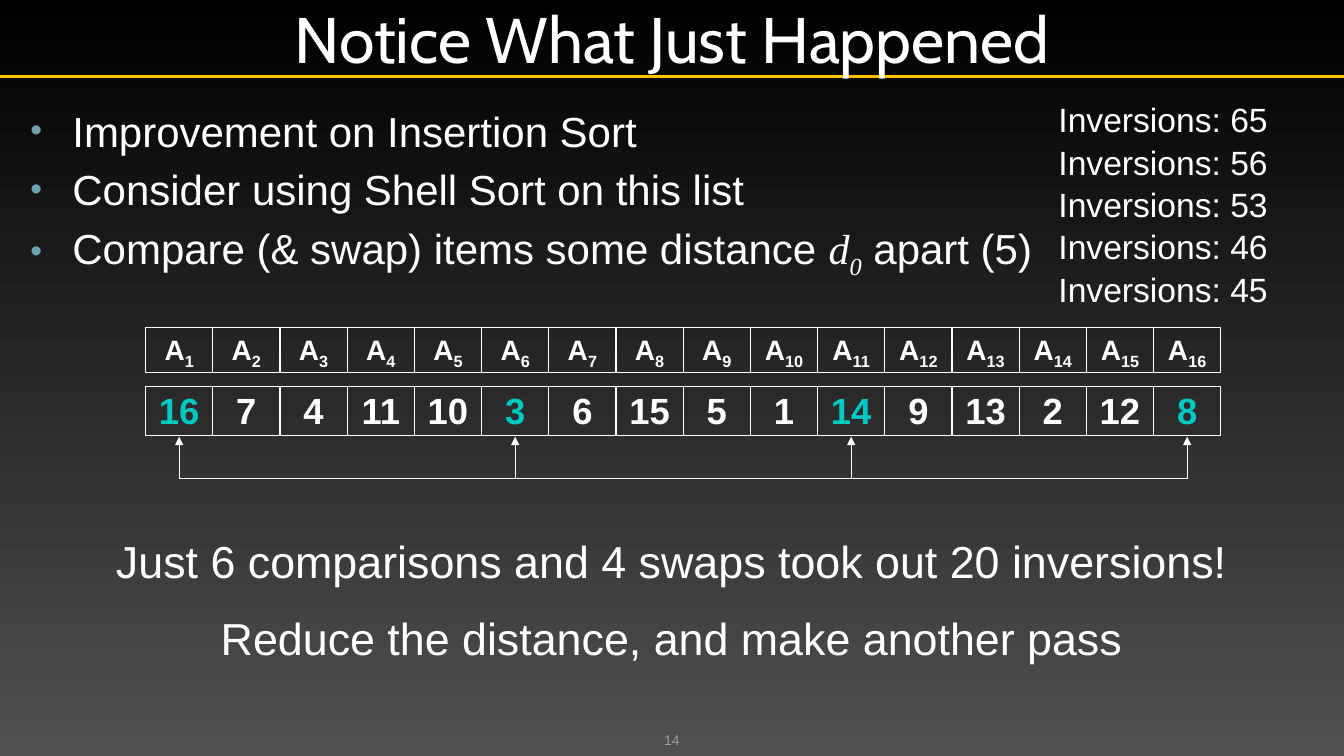
import pptx
import pptx.dml.color
import pptx.enum.shapes
import pptx.enum.text
import pptx.oxml
import pptx.oxml.ns
import pptx.util

Pt = pptx.util.Pt
RGBColor = pptx.dml.color.RGBColor
ALIGN = pptx.enum.text.PP_ALIGN
ANCHOR = pptx.enum.text.MSO_ANCHOR
AUTO_SIZE = pptx.enum.text.MSO_AUTO_SIZE

WHITE = RGBColor(0xFF, 0xFF, 0xFF)
BLACK = RGBColor(0x00, 0x00, 0x00)
DARK_GREY = RGBColor(0x50, 0x50, 0x50)
NUMBER_GREY = RGBColor(0x9D, 0x9B, 0x9A)
GOLD = RGBColor(0xFF, 0xC0, 0x00)
TEAL = RGBColor(0x00, 0xC8, 0xC3)
BULLET_BLUE = RGBColor(0x6E, 0xA0, 0xB0)

SLIDE_WIDTH, SLIDE_HEIGHT = 960, 540
TITLE_HEIGHT = 54.5
VALUES = [16, 7, 4, 11, 10, 3, 6, 15, 5, 1, 14, 9, 13, 2, 12, 8]
DISTANCE = 5
INVERSIONS = [65, 56, 53, 46, 45]
CELL_LEFT, CELL_WIDTH = 104, 48
LABEL_TOP, LABEL_HEIGHT = 234, 32
VALUE_TOP, VALUE_HEIGHT = 276, 35
ARROW_TIP, ARROW_BASE = 312, 342


def add_xml(parent, tag, **attributes):
    """Append a DrawingML child element and return it."""
    child = pptx.oxml.parse_xml(f"<a:{tag} {pptx.oxml.ns.nsdecls('a')}/>")
    for name, value in attributes.items():
        child.set(name, str(value))
    parent.append(child)
    return child


def place(shape, left, top, width, height):
    """Move and size a shape."""
    shape.left, shape.top = Pt(left), Pt(top)
    shape.width, shape.height = Pt(width), Pt(height)


def set_frame(shape, anchor, margins, auto_size=AUTO_SIZE.NONE):
    """Set wrapping, anchor and the horizontal and vertical margins."""
    frame = shape.text_frame
    frame.word_wrap = True
    frame.auto_size = auto_size
    frame.vertical_anchor = anchor
    frame.margin_left = frame.margin_right = Pt(margins[0])
    frame.margin_top = frame.margin_bottom = Pt(margins[1])
    return frame


def add_run(paragraph, text, size, color=WHITE, font="Arial", bold=False,
            italic=False, subscript=False):
    """Add one formatted run."""
    run = paragraph.add_run()
    run.text = text
    run.font.size, run.font.name = Pt(size), font
    run.font.bold, run.font.italic = bold, italic
    run.font.color.rgb = color
    if subscript:
        run.font._element.set("baseline", "-25000")


def next_paragraph(frame, alignment=ALIGN.LEFT, before=0):
    """Return the next free paragraph; before is a percentage of the line."""
    paragraph = frame.paragraphs[0]
    if paragraph.runs:
        paragraph = frame.add_paragraph()
    paragraph.alignment = alignment
    if before:
        spacing = add_xml(paragraph._p.get_or_add_pPr(), "spcBef")
        add_xml(spacing, "spcPct", val=before * 1000)
    return paragraph


def add_bullet(frame, runs):
    """Add a bulleted paragraph from (text, format) pairs."""
    paragraph = next_paragraph(frame, before=20)
    properties = paragraph._p.get_or_add_pPr()
    properties.set("marL", str(Pt(33)))
    properties.set("indent", str(Pt(-30)))
    add_xml(add_xml(properties, "buClr"), "srgbClr", val=BULLET_BLUE)
    add_xml(properties, "buSzPct", val=80000)
    add_xml(properties, "buFont", typeface="Arial")
    add_xml(properties, "buChar", char="•")
    for text, style in runs:
        add_run(paragraph, text, 30, **style)


def add_text_box(slide, box, anchor=ANCHOR.TOP, margins=(7.2, 3.6)):
    """Add an empty text box and return its text frame."""
    shape = slide.shapes.add_textbox(*map(Pt, box))
    return set_frame(shape, anchor, margins)


def add_cell(slide, column, top, height, margin):
    """Add an outlined array cell and return its paragraph."""
    left = CELL_LEFT + column * CELL_WIDTH
    cell = slide.shapes.add_shape(pptx.enum.shapes.MSO_SHAPE.RECTANGLE,
                                  Pt(left), Pt(top), Pt(CELL_WIDTH), Pt(height))
    cell.shadow.inherit = False
    cell.fill.background()
    cell.line.color.rgb, cell.line.width = WHITE, Pt(0.75)
    frame = set_frame(cell, ANCHOR.TOP, (0, margin), AUTO_SIZE.SHAPE_TO_FIT_TEXT)
    return next_paragraph(frame, ALIGN.CENTER, 50)


def add_line(slide, start, end, color=WHITE, width=0.75, arrow=False):
    """Add a straight line, with an arrowhead at its end if wanted."""
    line = slide.shapes.add_connector(pptx.enum.shapes.MSO_CONNECTOR.STRAIGHT,
                                      *map(Pt, (*start, *end)))
    line.line.color.rgb, line.line.width = color, Pt(width)
    if arrow:
        add_xml(line.line._get_or_add_ln(), "tailEnd", type="triangle")
    add_xml(line._element.spPr, "effectLst")
    return line


def add_background(slide):
    """Fill the slide with a gradient that runs from top to bottom."""
    fill = slide.background.fill
    fill.gradient()
    fill.gradient_angle = 270
    for stop, position, color in zip(fill.gradient_stops, (0, 1), (BLACK, DARK_GREY)):
        stop.position, stop.color.rgb = position, color


def add_heading(slide):
    """Fill the title and put the gold rule behind it."""
    rule = add_line(slide, (0, TITLE_HEIGHT), (SLIDE_WIDTH, TITLE_HEIGHT), GOLD, 2.5)
    slide.shapes._spTree.insert(2, rule._element)
    title = slide.shapes.title
    place(title, 0, 0, SLIDE_WIDTH, TITLE_HEIGHT)
    frame = set_frame(title, ANCHOR.MIDDLE, (3.6, 3.6))
    add_run(next_paragraph(frame, ALIGN.CENTER), "Notice What Just Happened", 46,
            font="Cabin")


def add_bullets(slide):
    """Fill the body placeholder."""
    body = slide.placeholders[1]
    place(body, 11.5, 71.5, 937, 441)
    frame = set_frame(body, ANCHOR.TOP, (7.2, 3.6))
    variable = {"font": "Times New Roman", "italic": True}
    add_bullet(frame, [("Improvement on Insertion Sort", {})])
    add_bullet(frame, [("Consider using Shell Sort on this list", {})])
    add_bullet(frame, [("Compare (& swap) items some distance ", {}),
                       ("d", variable), ("0", {**variable, "subscript": True}),
                       (f" apart ({DISTANCE})", {})])


def add_array(slide):
    """Draw the labels, the values and the arrows to the compared items."""
    for column in range(len(VALUES)):
        label = add_cell(slide, column, LABEL_TOP, LABEL_HEIGHT, 3.6)
        add_run(label, "A", 20, bold=True)
        add_run(label, str(column + 1), 20, bold=True, subscript=True)
    for column, value in enumerate(VALUES):
        color = WHITE if column % DISTANCE else TEAL
        add_run(add_cell(slide, column, VALUE_TOP, VALUE_HEIGHT, 1.5),
                str(value), 26, color, bold=True)
    centers = [CELL_LEFT + (column + 0.5) * CELL_WIDTH
               for column in range(0, len(VALUES), DISTANCE)]
    for center in centers:
        add_line(slide, (center, ARROW_BASE), (center, ARROW_TIP), arrow=True)
    add_line(slide, (centers[0], ARROW_BASE), (centers[-1], ARROW_BASE))


def add_notes_on_result(slide):
    """Add the conclusion, the inversion counts and the slide number."""
    conclusion = add_text_box(slide, (0, 378, SLIDE_WIDTH, 104.5))
    for text in ("Just 6 comparisons and 4 swaps took out 20 inversions!",
                 "Reduce the distance, and make another pass"):
        add_run(next_paragraph(conclusion, ALIGN.CENTER, 50), text, 32)
    counts = add_text_box(slide, (749, 66, 169, 153))
    for count in INVERSIONS:
        paragraph = next_paragraph(counts)
        paragraph.line_spacing = 1.05
        add_run(paragraph, f"Inversions: {count}", 24)
    number = add_text_box(slide, (328, 505.5, 304, 29), ANCHOR.BOTTOM, (0, 0))
    add_run(next_paragraph(number, ALIGN.CENTER), "14", 10, NUMBER_GREY)


def main():
    """Build and save the slide."""
    presentation = pptx.Presentation()
    presentation.slide_width, presentation.slide_height = Pt(SLIDE_WIDTH), Pt(SLIDE_HEIGHT)
    slide = presentation.slides.add_slide(presentation.slide_layouts[1])
    add_background(slide)
    add_heading(slide)
    add_bullets(slide)
    add_array(slide)
    add_notes_on_result(slide)
    presentation.save("out.pptx")


main()
